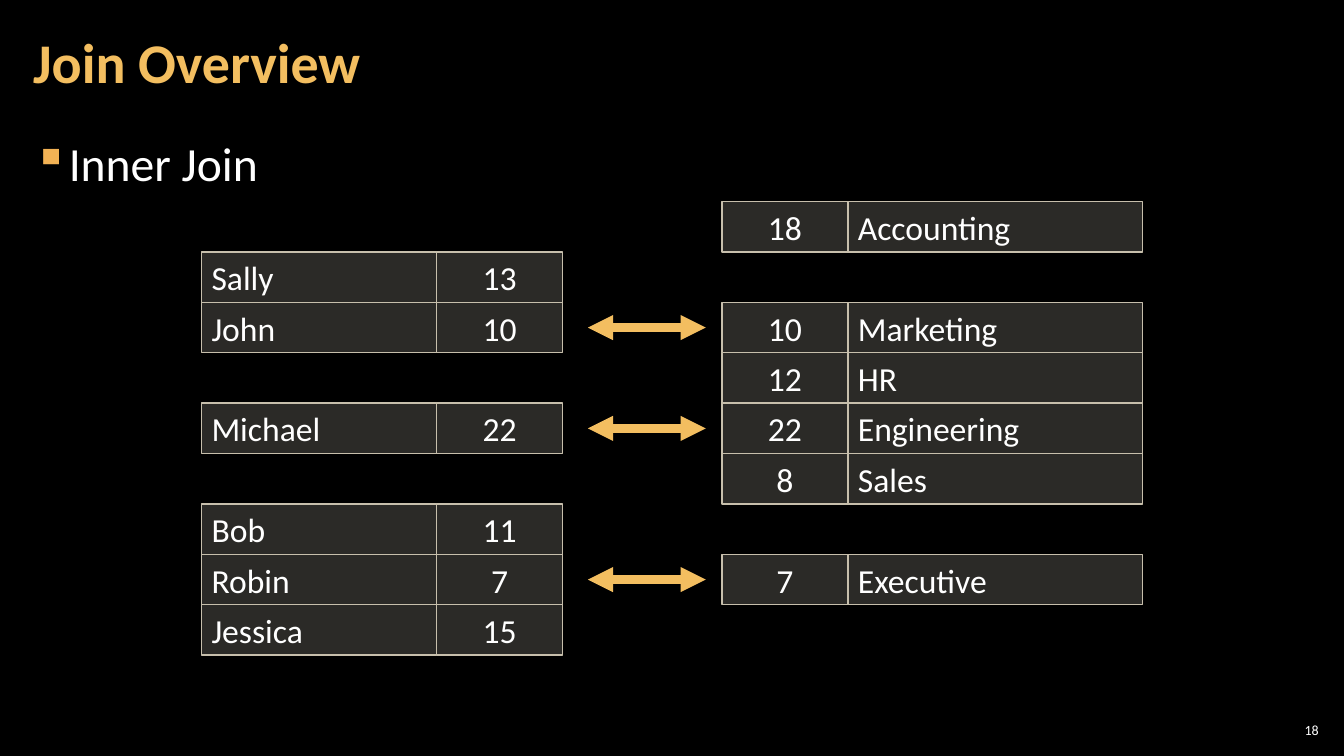
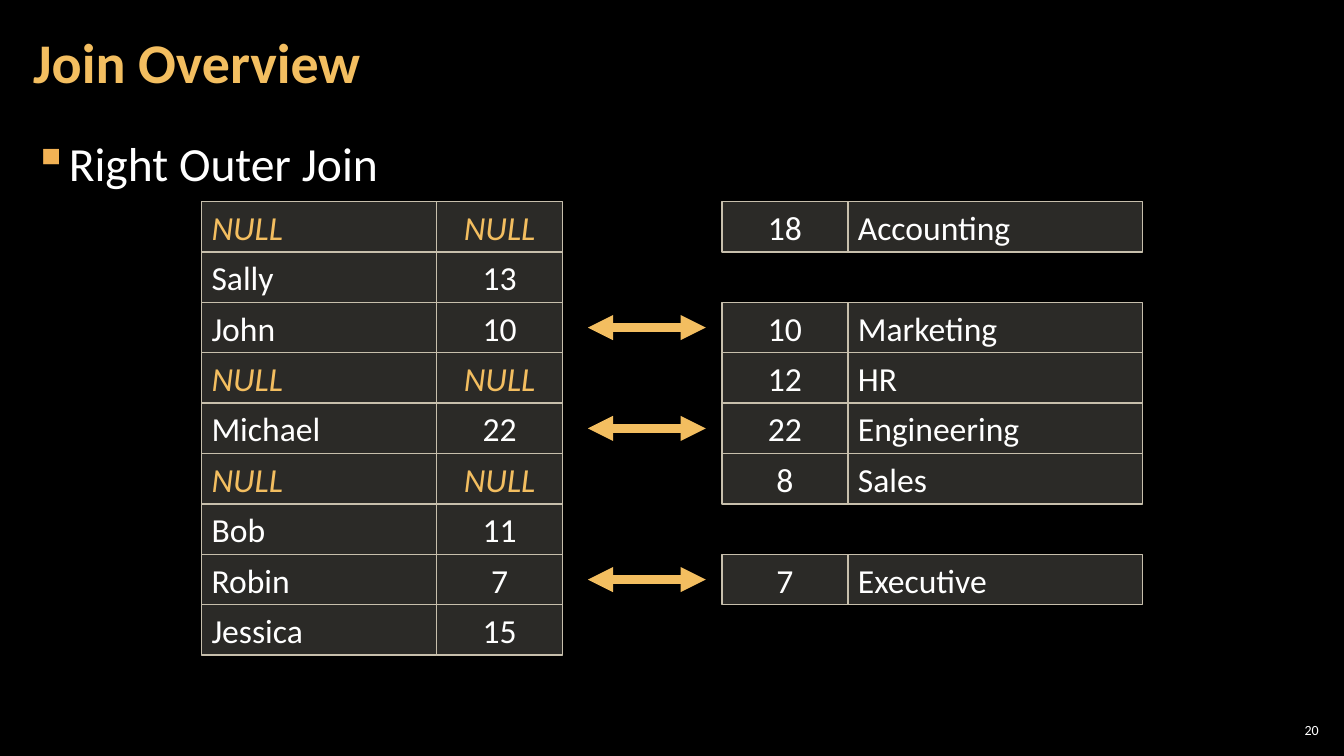
"""Build two slides that compare an inner join with a right outer join."""
import pptx
import pptx.util
import pptx.dml.color
import pptx.enum.shapes
import pptx.enum.text
import pptx.oxml.ns
import lxml.etree

Inches = pptx.util.Inches
Pt = pptx.util.Pt
RGB = pptx.dml.color.RGBColor.from_string
ALIGN = pptx.enum.text.PP_ALIGN
MIDDLE = pptx.enum.text.MSO_ANCHOR.MIDDLE
RECTANGLE = pptx.enum.shapes.MSO_SHAPE.RECTANGLE
STRAIGHT = pptx.enum.shapes.MSO_CONNECTOR.STRAIGHT

THEME = {
    "font": "Calibri",
    "background": "000000", "text": "FFFFFF", "accent": "F3BE60", "bullet": "F2B254",
    "cell_fill": "D9D5C7", "cell_opacity": "20000", "cell_line": "C7BFAC",
    "title_size": 40, "body_size": 34, "cell_size": 24, "number_size": 10,
}

TOP, ROW = 2, 0.5
NAME_LEFT, NAME_WIDTH = 2, 2.33
ID_WIDTH = 1.25
DEPARTMENT_LEFT, DEPARTMENT_WIDTH = 7.16, 2.92
ARROW_START, ARROW_END = 5.83, 7

EMPLOYEES = {1: ("Sally", "13"), 2: ("John", "10"), 4: ("Michael", "22"),
             6: ("Bob", "11"), 7: ("Robin", "7"), 8: ("Jessica", "15")}
DEPARTMENTS = {0: ("18", "Accounting"), 2: ("10", "Marketing"), 3: ("12", "HR"),
               4: ("22", "Engineering"), 5: ("8", "Sales"), 7: ("7", "Executive")}
UNMATCHED = {row: ("NULL", "NULL") for row in DEPARTMENTS if row not in EMPLOYEES}
MATCHES = [row for row in DEPARTMENTS if row in EMPLOYEES]

SLIDES = [("Inner Join", "18", EMPLOYEES),
          ("Right Outer Join", "20", EMPLOYEES | UNMATCHED)]


def add_xml(parent, tag, **attributes):
    """Append a DrawingML element to parent."""
    return lxml.etree.SubElement(parent, pptx.oxml.ns.qn(tag), attributes)


def write(sp, text, size, color="text", align=ALIGN.LEFT, margins=None):
    """Write one run into a shape and return its paragraph and run."""
    tf = sp.text_frame
    tf.word_wrap = True
    tf.vertical_anchor = MIDDLE
    if margins:
        tf.margin_left = tf.margin_right = Inches(margins[0])
        tf.margin_top = tf.margin_bottom = Inches(margins[1])
    p = tf.paragraphs[0]
    p.alignment = align
    r = p.add_run()
    r.text = text
    r.font.name = THEME["font"]
    r.font.size = Pt(THEME[size])
    r.font.color.rgb = RGB(THEME[color])
    return p, r


prs = pptx.Presentation()
prs.slide_width, prs.slide_height = Inches(13.33), Inches(7.5)
fill = prs.slide_master.background.fill
fill.solid()
fill.fore_color.rgb = RGB(THEME["background"])

for join, number, employees in SLIDES:
    s = prs.slides.add_slide(prs.slide_layouts[6])

    sp = s.shapes.add_textbox(Inches(0.21), Inches(0.04), Inches(10.47), Inches(1.21))
    p, r = write(sp, "Join Overview", "title_size", "accent", margins=(0.12, 0.04))
    p.line_spacing = 0.9
    r.font.bold = True

    sp = s.shapes.add_textbox(Inches(0.21), Inches(1.26), Inches(12.91), Inches(5.8))
    p, r = write(sp, join, "body_size", margins=(0.12, 0.04))
    sp.text_frame.vertical_anchor = pptx.enum.text.MSO_ANCHOR.TOP
    pPr = p._p.get_or_add_pPr()
    pPr.set("marL", str(Inches(0.33)))
    pPr.set("indent", str(-Inches(0.33)))
    add_xml(add_xml(pPr, "a:buClr"), "a:srgbClr", val=THEME["bullet"])
    add_xml(pPr, "a:buChar", char="▪")
    p.line_spacing = 1.05

    sp = s.shapes.add_textbox(Inches(12.65), Inches(7.14), Inches(0.47), Inches(0.21))
    write(sp, number, "number_size", align=ALIGN.RIGHT, margins=(0.04, 0.04))

    tables = [(employees, NAME_LEFT, (NAME_WIDTH, ID_WIDTH), (ALIGN.LEFT, ALIGN.CENTER)),
              (DEPARTMENTS, DEPARTMENT_LEFT, (ID_WIDTH, DEPARTMENT_WIDTH), (ALIGN.CENTER, ALIGN.LEFT))]
    for records, table_left, widths, aligns in tables:
        for row, values in sorted(records.items()):
            left = table_left
            for value, width, align in zip(values, widths, aligns):
                sp = s.shapes.add_shape(RECTANGLE, Inches(left), Inches(TOP + row * ROW),
                                        Inches(width), Inches(ROW))
                sp.shadow.inherit = False
                sp.fill.solid()
                sp.fill.fore_color.rgb = RGB(THEME["cell_fill"])
                color = sp._element.spPr.find(".//" + pptx.oxml.ns.qn("a:srgbClr"))
                add_xml(color, "a:alpha", val=THEME["cell_opacity"])
                sp.line.color.rgb = RGB(THEME["cell_line"])
                sp.line.width = Pt(1)
                missing = value == "NULL"
                p, r = write(sp, value, "cell_size", "accent" if missing else "text", align)
                if missing:
                    r.font.italic = True
                left += width

    for row in MATCHES:
        y = Inches(TOP + (row + 0.5) * ROW)
        arrow = s.shapes.add_connector(STRAIGHT, Inches(ARROW_START), y, Inches(ARROW_END), y)
        arrow.line.color.rgb = RGB(THEME["accent"])
        arrow.line.width = Pt(6)
        ln = arrow.line._get_or_add_ln()
        add_xml(ln, "a:headEnd", type="triangle")
        add_xml(ln, "a:tailEnd", type="triangle")
        add_xml(arrow._element.spPr, "a:effectLst")

prs.save("out.pptx")
